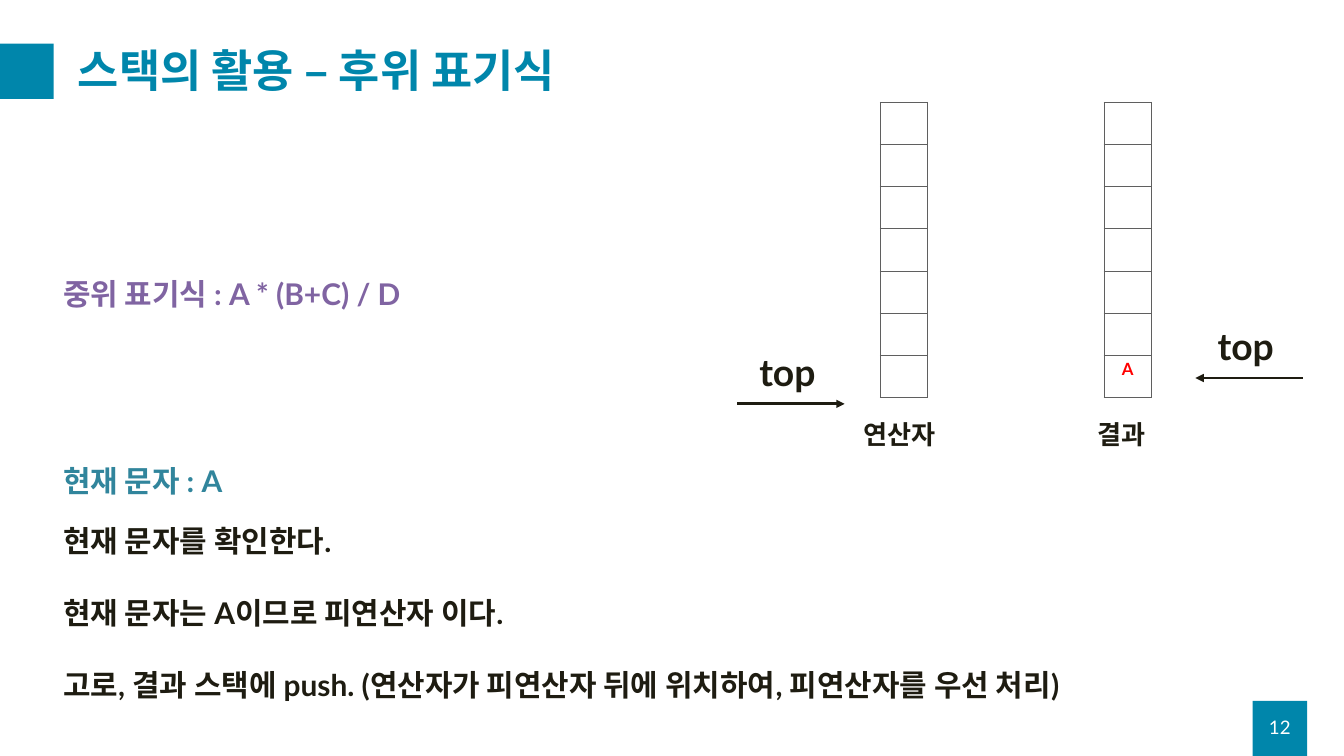
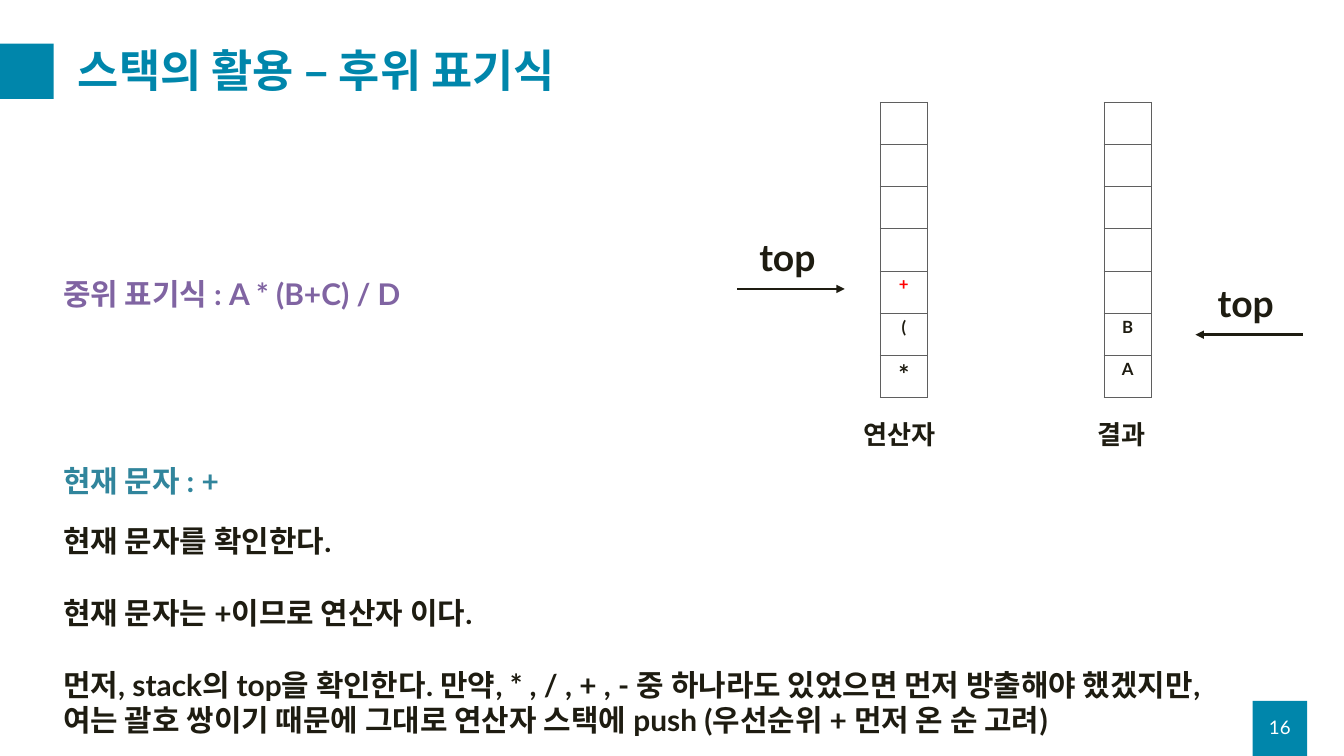
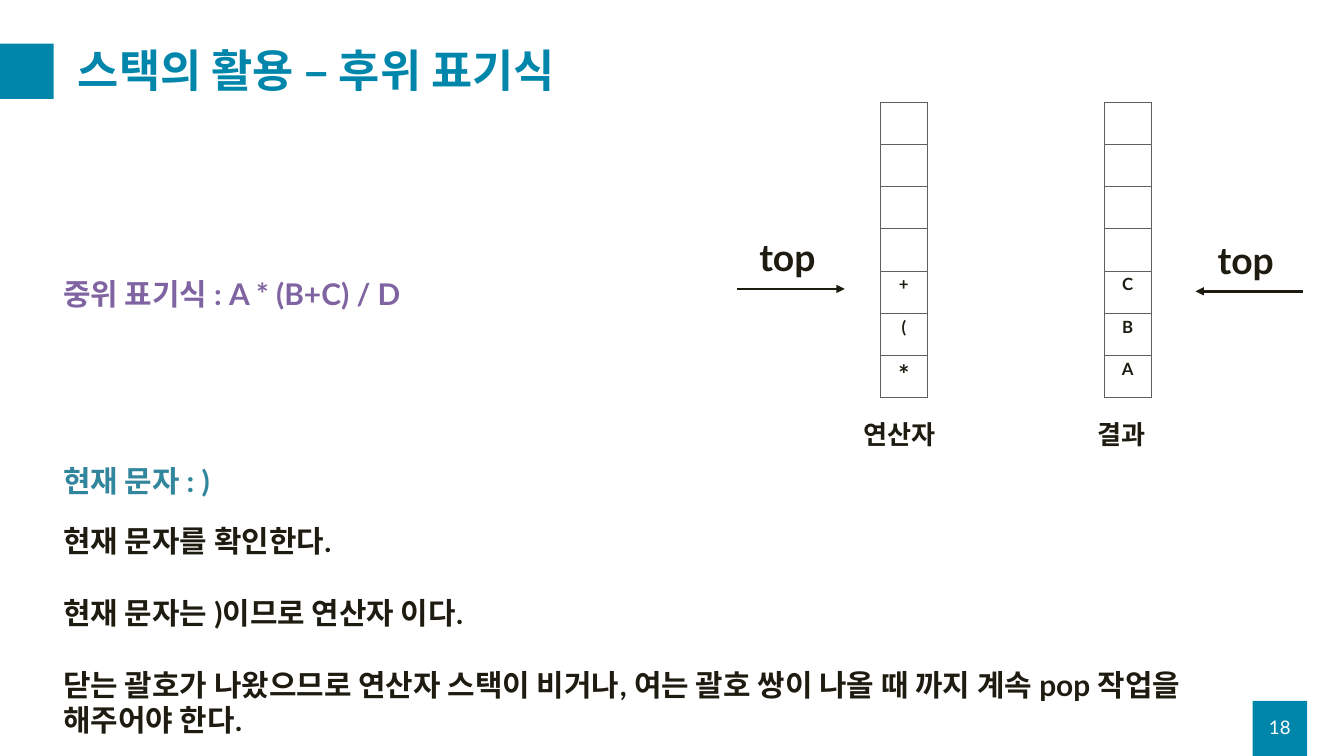
from dataclasses import dataclass

from lxml.etree import SubElement
from pptx import Presentation
from pptx.dml.color import RGBColor
from pptx.enum.shapes import MSO_CONNECTOR as Connector, MSO_SHAPE as Shape
from pptx.enum.text import MSO_ANCHOR as Anchor, MSO_AUTO_SIZE as AutoSize, PP_ALIGN as Align
from pptx.oxml.ns import qn
from pptx.slide import Slide
from pptx.table import _Cell as Cell
from pptx.text.text import TextFrame, _Paragraph as Paragraph
from pptx.util import Emu, Inches, Pt

TEAL = RGBColor(0x00, 0x86, 0xAB)
PURPLE = RGBColor(0x80, 0x64, 0xA2)
BLUE = RGBColor(0x31, 0x85, 0x9C)
INK = RGBColor(0x1E, 0x1C, 0x11)
RED = RGBColor(0xFF, 0x00, 0x00)
GREY = RGBColor(0x5F, 0x5F, 0x5F)
WHITE = RGBColor(0xFF, 0xFF, 0xFF)

FONT = "Lato"
TITLE = "스택의 활용 – 후위 표기식"
EXPRESSION = "중위 표기식 : A * (B+C) / D"
TITLE_AND_CONTENT = 1

# The page is a grid of square units, 20 across and 11.25 down.
PAGE_WIDTH, PAGE_HEIGHT = Inches(20), Inches(11.25)
UNIT = PAGE_WIDTH // 20
MARGIN = 0.84
BAND_WIDTH, BAND_HEIGHT = 0.81, 0.82
NUMBER_LEFT = 18.64
STACK_TOP, STACK_WIDTH, STACK_HEIGHT, STACK_ROWS = 1.52, 0.7, 4.4, 7
CAPTION_TOP = 6.18
ARROW_LENGTH = 1.6
TOP_LABEL_SHIFT, TOP_LABEL_RISE = 0.23, 0.86


@dataclass(frozen=True)
class Frame:
    """A rectangle in grid units."""
    left: float
    top: float
    width: float
    height: float

    def lengths(self) -> tuple[Emu, ...]:
        return tuple(Emu(round(side * UNIT))
                     for side in (self.left, self.top, self.width, self.height))


@dataclass(frozen=True)
class Style:
    size: float
    color: RGBColor
    bold: bool = True


@dataclass(frozen=True)
class Stack:
    """A stack column; its arrow rises by one pitch for each item held."""
    caption: str
    left: float
    caption_left: float
    caption_width: float
    arrow_left: float
    arrow_base: float
    arrow_pitch: float
    arrowhead: str


@dataclass(frozen=True)
class Step:
    """One step of the conversion; stack items run from bottom to top."""
    number: int
    symbol: str
    kind: str
    operators: str
    result: str
    action: str
    pushed: str = ""


OPERATORS = Stack("연산자", 13.1, 12.75, 1.71, 10.97, 6.01, 0.57, "a:tailEnd")
RESULT = Stack("결과", 16.43, 16.24, 2.15, 17.79, 6.27, 0.645, "a:headEnd")

STEPS = (
    Step(12, "A", "피연산자", "", "A",
         "고로, 결과 스택에 push. (연산자가 피연산자 뒤에 위치하여, 피연산자를 우선 처리)", pushed="A"),
    Step(16, "+", "연산자", "*(+", "AB",
         "먼저, stack의 top을 확인한다. 만약, * , / , + , - 중 하나라도 있었으면 먼저 방출해야 "
         "했겠지만, 여는 괄호 쌍이기 때문에 그대로 연산자 스택에 push (우선순위 + 먼저 온 순 고려)",
         pushed="+"),
    Step(18, ")", "연산자", "*(+", "ABC",
         "닫는 괄호가 나왔으므로 연산자 스택이 비거나, 여는 괄호 쌍이 나올 때 까지 계속 pop 작업을 "
         "해주어야 한다."),
)


def add_span(para: Paragraph, text: str, style: Style) -> None:
    span = para.add_run()
    span.text = text
    span.font.name = FONT
    span.font.size = Pt(style.size)
    span.font.bold = style.bold
    span.font.color.rgb = style.color


def add_label(page: Slide, frame: Frame, text: str, style: Style) -> TextFrame:
    box = page.shapes.add_textbox(*frame.lengths()).text_frame
    box.word_wrap = True
    add_span(box.paragraphs[0], text, style)
    return box


def add_band(page: Slide, left: float, top: float) -> None:
    band = page.shapes.add_shape(
        Shape.RECTANGLE, *Frame(left, top, BAND_WIDTH, BAND_HEIGHT).lengths())
    band.shadow.inherit = False
    band.fill.solid()
    band.fill.fore_color.rgb = TEAL
    band.line.fill.background()


def add_page_frame(page: Slide, number: int) -> None:
    """Add the bands, title and page number that every page has."""
    add_band(page, NUMBER_LEFT, 10.43)
    add_band(page, -0.01, 0.65)

    title = page.shapes.title
    title.left, title.top, title.width, title.height = Frame(1.06, 0.5, 18.25, 1.18).lengths()
    title.text_frame.vertical_anchor = Anchor.MIDDLE
    title.text_frame.auto_size = AutoSize.NONE
    para = title.text_frame.paragraphs[0]
    para.alignment = Align.LEFT
    para.line_spacing = 0.9
    add_span(para, TITLE, Style(48, TEAL))

    box = add_label(page, Frame(NUMBER_LEFT, 10.52, BAND_WIDTH, 0.6), str(number),
                    Style(20, WHITE, bold=False))
    box.vertical_anchor = Anchor.MIDDLE
    box.paragraphs[0].alignment = Align.CENTER


def add_borders(cell: Cell) -> None:
    properties = cell._tc.get_or_add_tcPr()
    for position, side in enumerate(("a:lnL", "a:lnR", "a:lnT", "a:lnB")):
        line = properties.makeelement(qn(side), {"w": str(Pt(1))})
        fill = SubElement(line, qn("a:solidFill"))
        SubElement(fill, qn("a:srgbClr"), val=str(GREY))
        properties.insert(position, line)


def add_stack_table(page: Slide, stack: Stack, items: str, pushed: str) -> None:
    frame = Frame(stack.left, STACK_TOP, STACK_WIDTH, STACK_HEIGHT)
    table = page.shapes.add_table(STACK_ROWS, 1, *frame.lengths()).table
    table.first_row = table.horz_banding = False
    for row, item in enumerate(items[::-1].rjust(STACK_ROWS)):
        cell = table.cell(row, 0)
        cell.fill.background()
        add_borders(cell)
        if item.strip():
            para = cell.text_frame.paragraphs[0]
            para.alignment = Align.CENTER
            add_span(para, item, Style(28 if item == "*" else 18,
                                       RED if item == pushed else INK))


def add_top_arrow(page: Slide, stack: Stack, depth: int) -> None:
    height = stack.arrow_base - stack.arrow_pitch * depth
    left, top, length, _ = Frame(stack.arrow_left, height, ARROW_LENGTH, 0).lengths()
    arrow = page.shapes.add_connector(Connector.STRAIGHT, left, top, left + length, top)
    arrow.line.color.rgb = INK
    arrow.line.width = Pt(3)
    SubElement(arrow.line._get_or_add_ln(), qn(stack.arrowhead), type="triangle")
    SubElement(arrow._element.spPr, qn("a:effectLst"))
    add_label(page, Frame(stack.arrow_left + TOP_LABEL_SHIFT, height - TOP_LABEL_RISE, 1.71, 0.77),
              "top", Style(40, INK))


def add_stack(page: Slide, stack: Stack, items: str, pushed: str) -> None:
    add_stack_table(page, stack, items, pushed)
    add_label(page, Frame(stack.caption_left, CAPTION_TOP, stack.caption_width, 0.57),
              stack.caption, Style(28, INK))
    add_top_arrow(page, stack, len(items))


def add_explanation(page: Slide, step: Step) -> None:
    body = page.placeholders[1]
    body.left, body.top, body.width, body.height = Frame(MARGIN, 7.73, 17.8, 3.33).lengths()
    box = body.text_frame
    box.auto_size = AutoSize.NONE
    lines = ("현재 문자를 확인한다.", f"현재 문자는 {step.symbol}이므로 {step.kind} 이다.", step.action)
    for index, line in enumerate(lines):
        para = box.add_paragraph() if index else box.paragraphs[0]
        properties = para._p.get_or_add_pPr()
        properties.set("marL", "0")
        properties.set("indent", "0")
        SubElement(properties, qn("a:buNone"))
        para.space_before = Pt(38.4 if index else 0)
        add_span(para, line, Style(32, INK))


def build_page(deck: Presentation, step: Step) -> None:
    page = deck.slides.add_slide(deck.slide_layouts[TITLE_AND_CONTENT])
    add_page_frame(page, step.number)
    add_label(page, Frame(MARGIN, 4.06, 5.8, 0.64), EXPRESSION, Style(32, PURPLE))
    add_stack(page, OPERATORS, step.operators, step.pushed)
    add_stack(page, RESULT, step.result, step.pushed)
    add_explanation(page, step)
    add_label(page, Frame(MARGIN, 6.83, 5.8, 0.64), f"현재 문자 : {step.symbol}", Style(32, BLUE))


def main() -> None:
    deck = Presentation()
    deck.slide_width, deck.slide_height = PAGE_WIDTH, PAGE_HEIGHT
    for step in STEPS:
        build_page(deck, step)
    deck.save("out.pptx")


if __name__ == "__main__":
    main()
